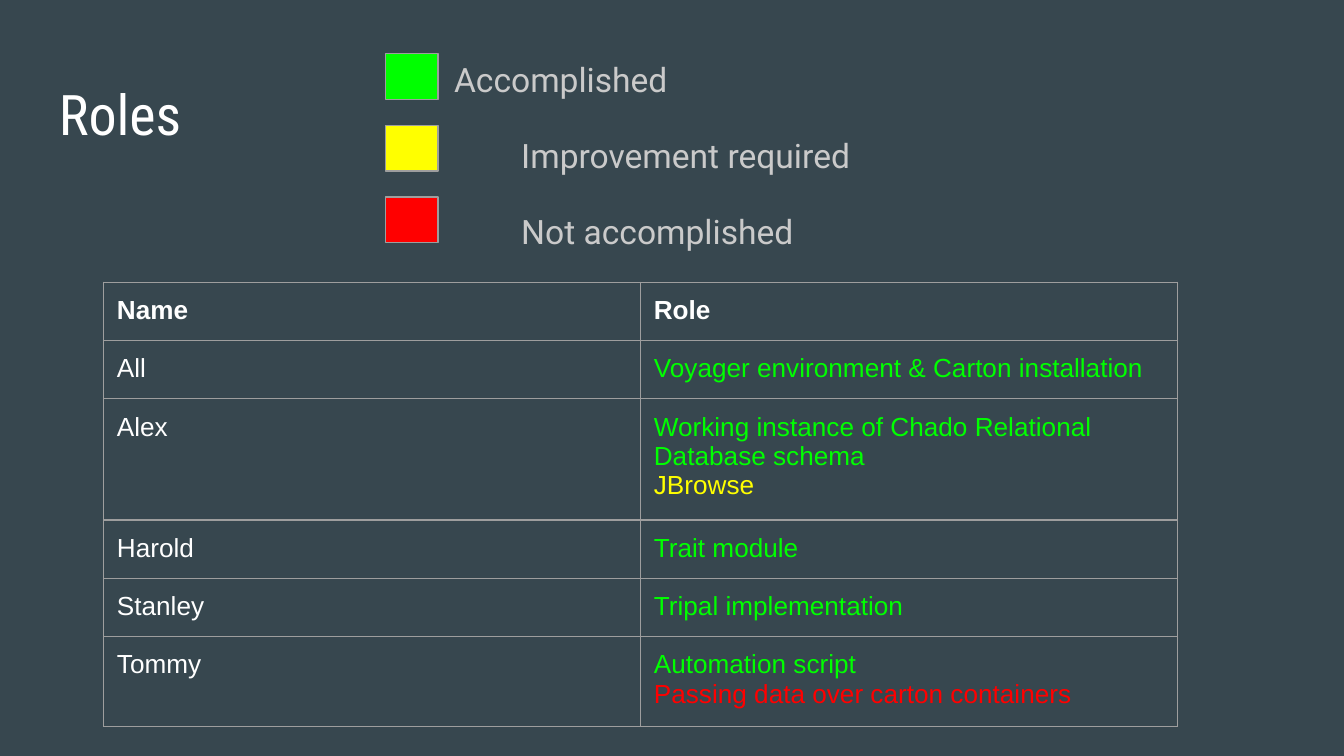
from dataclasses import dataclass

from lxml import etree
from pptx import Presentation
from pptx import util as u
from pptx.dml.color import RGBColor
from pptx.enum import shapes, text
from pptx.oxml import ns


@dataclass(frozen=True)
class Theme:
    background: str = "37474F"
    white: str = "FFFFFF"
    muted: str = "CACACA"
    border: str = "9E9E9E"
    done: str = "00FF00"
    improve: str = "FFFF00"
    missed: str = "FF0000"
    title_size: int = 30
    legend_size: int = 18
    table_size: int = 14
    border_width: float = 0.75


@dataclass(frozen=True)
class Box:
    column: float
    row: float
    columns: float
    rows: float


@dataclass(frozen=True)
class Line:
    words: str
    color: str


@dataclass(frozen=True)
class Status:
    label: str
    color: str
    indent: float


@dataclass(frozen=True)
class Role:
    name: str
    tasks: tuple[Line, ...]
    rows: float
    bold: bool = False


THEME = Theme()
SLIDE_COLUMNS, SLIDE_ROWS = 100, 56.25
TITLE_BOX = Box(3.4, 4.9, 93.2, 6.3)
LEGEND_BOX = Box(27.8, 2.9, 61.2, 18.1)
FIRST_SWATCH = Box(28.7, 4, 3.9, 3.4)
SWATCH_PITCH = 5.33
TABLE_BOX = Box(7.7, 21, 79.9, 31.9)

STATUSES = (
    Status("Accomplished", THEME.done, 5),
    Status("Improvement required", THEME.improve, 10),
    Status("Not accomplished", THEME.missed, 10),
)
ROLES = (
    Role("Name", (Line("Role", THEME.white),), 4.2, True),
    Role("All", (Line("Voyager environment & Carton installation", THEME.done),), 4.3),
    Role("Alex", (Line("Working instance of Chado Relational Database schema", THEME.done),
                  Line("JBrowse", THEME.improve)), 8.6),
    Role("Harold", (Line("Trait module", THEME.done),), 4.2),
    Role("Stanley", (Line("Tripal implementation", THEME.done),), 4.2),
    Role("Tommy", (Line("Automation script", THEME.done),
                   Line("Passing data over carton containers", THEME.missed)), 6.4),
)


def grid(units: float) -> int:
    return u.Inches(units / 10)


def place(box: Box) -> tuple[int, ...]:
    return tuple(grid(units) for units in (box.column, box.row, box.columns, box.rows))


def fill_text(frame, lines, font: str, size: int, bold: bool = False) -> None:
    frame.text = "\n".join(line.words for line in lines)
    for paragraph, line in zip(frame.paragraphs, lines):
        for run in paragraph.runs:
            run.font.name = font
            run.font.size = u.Pt(size)
            run.font.bold = bold
            run.font.color.rgb = RGBColor.from_string(line.color)


def add_text(slide, box: Box, lines, font: str, size: int):
    frame = slide.shapes.add_textbox(*place(box)).text_frame
    frame.word_wrap = True
    frame.vertical_anchor = text.MSO_ANCHOR.TOP
    frame.margin_left = frame.margin_right = grid(1)
    frame.margin_top = frame.margin_bottom = grid(1)
    fill_text(frame, lines, font, size)
    return frame


def add_legend(slide) -> None:
    lines = [Line(status.label, THEME.muted) for status in STATUSES]
    frame = add_text(slide, LEGEND_BOX, lines, "Roboto", THEME.legend_size)
    for paragraph, status in zip(frame.paragraphs, STATUSES):
        paragraph.line_spacing = 1.15
        paragraph.space_after = u.Pt(16)
        properties = paragraph._p.get_or_add_pPr()
        properties.set("marL", str(grid(status.indent)))
        properties.set("indent", "0")


def add_swatch(slide, box: Box, color: str) -> None:
    swatch = slide.shapes.add_shape(shapes.MSO_SHAPE.RECTANGLE, *place(box))
    swatch.shadow.inherit = False
    swatch.fill.solid()
    swatch.fill.fore_color.rgb = RGBColor.from_string(color)
    swatch.line.color.rgb = RGBColor.from_string(THEME.border)
    swatch.line.width = u.Pt(THEME.border_width)


def add_borders(cell) -> None:
    properties = cell._tc.get_or_add_tcPr()
    for position, side in enumerate(("lnL", "lnR", "lnT", "lnB")):
        border = etree.Element(ns.qn(f"a:{side}"), w=str(u.Pt(THEME.border_width)))
        solid = etree.SubElement(border, ns.qn("a:solidFill"))
        etree.SubElement(solid, ns.qn("a:srgbClr"), val=THEME.border)
        properties.insert(position, border)


def fill_cell(cell, lines, bold: bool) -> None:
    cell.fill.background()
    cell.margin_left = cell.margin_right = grid(1)
    cell.margin_top = cell.margin_bottom = grid(1)
    fill_text(cell.text_frame, lines, "Arial", THEME.table_size, bold)
    add_borders(cell)


def add_roles(slide) -> None:
    table = slide.shapes.add_table(len(ROLES), 2, *place(TABLE_BOX)).table
    table.first_row = table.horz_banding = False
    for row, role in zip(table.rows, ROLES):
        row.height = grid(role.rows)
        fill_cell(row.cells[0], (Line(role.name, THEME.white),), role.bold)
        fill_cell(row.cells[1], role.tasks, role.bold)


def main() -> None:
    presentation = Presentation()
    presentation.slide_width = grid(SLIDE_COLUMNS)
    presentation.slide_height = grid(SLIDE_ROWS)
    slide = presentation.slides.add_slide(presentation.slide_layouts[6])
    slide.background.fill.solid()
    slide.background.fill.fore_color.rgb = RGBColor.from_string(THEME.background)
    add_text(slide, TITLE_BOX, (Line("Roles", THEME.white),),
             "Roboto Condensed", THEME.title_size)
    add_legend(slide)
    add_roles(slide)
    for index, status in enumerate(STATUSES):
        first = FIRST_SWATCH
        add_swatch(slide, Box(first.column, first.row + index * SWATCH_PITCH,
                              first.columns, first.rows), status.color)
    presentation.save("out.pptx")


if __name__ == "__main__":
    main()
